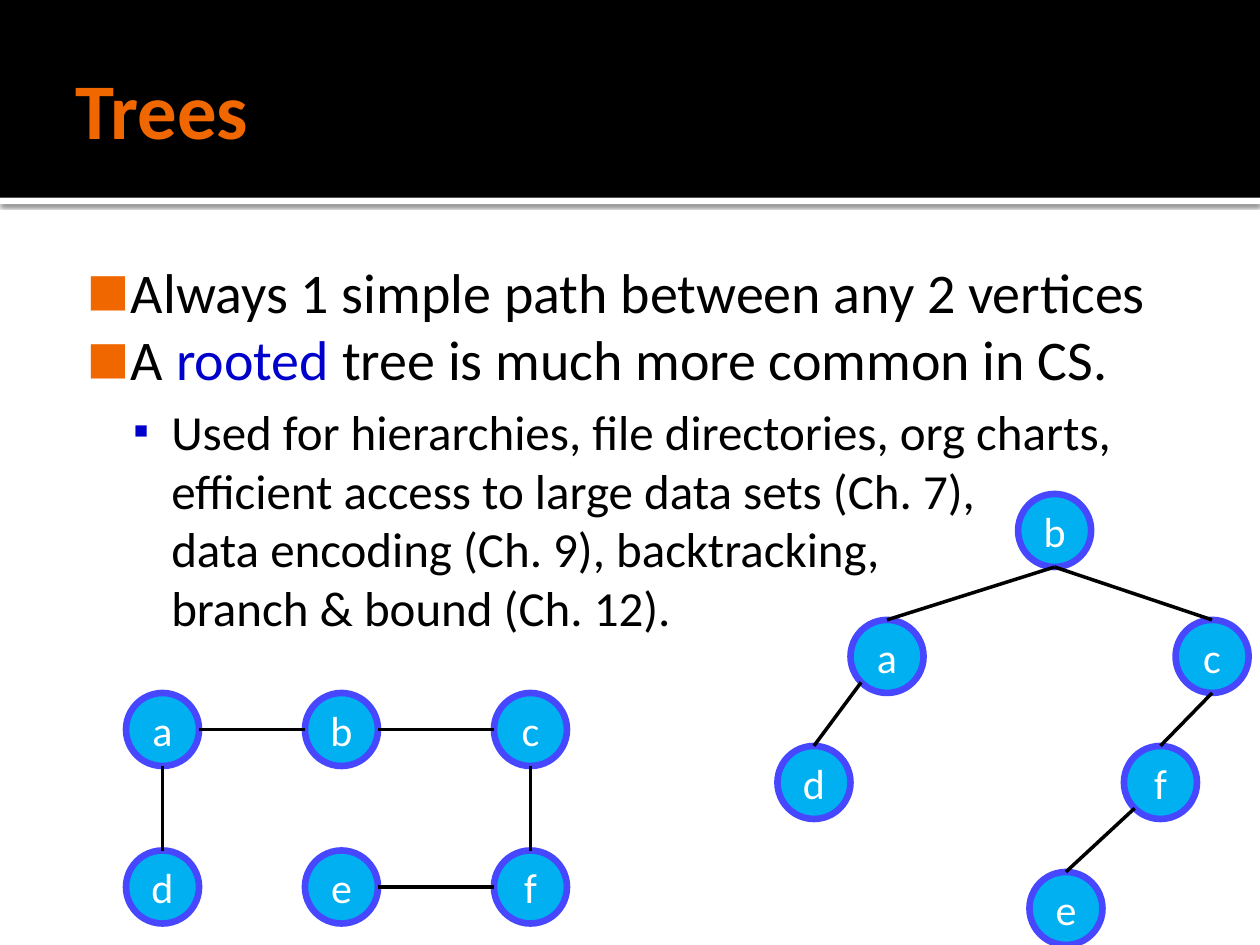
from math import cos, radians, sin

from lxml import etree
from pptx import Presentation
from pptx.dml.color import RGBColor
from pptx.enum.shapes import MSO_CONNECTOR, MSO_SHAPE
from pptx.enum.text import MSO_ANCHOR, PP_ALIGN
from pptx.oxml.ns import qn
from pptx.util import Inches, Pt

BLACK = RGBColor(0x00, 0x00, 0x00)
WHITE = RGBColor(0xFF, 0xFF, 0xFF)
ORANGE = RGBColor(0xF0, 0x67, 0x00)
BLUE = RGBColor(0x00, 0x00, 0xCC)
SKY = RGBColor(0x00, 0xB0, 0xF0)
RIM = RGBColor(0x47, 0x47, 0xFF)
SIZE = 0.58  # node diameter in inches
# Points on a node's rim, as angles in degrees, clockwise from the right
RIGHT, DOWN, DOWN_LEFT, LEFT, UP = 0, 90, 135, 180, 270


def put(par, text, size=24, color=BLACK, bold=False):
    """Add text to a paragraph, with a line break at each newline."""
    for i, line in enumerate(text.split("\n")):
        if i:
            par.add_line_break()
        run = par.add_run()
        run.text = line
        run.font.name = "Calibri"
        run.font.size = Pt(size)
        run.font.bold = bold
        run.font.color.rgb = color


def add(parent, tag, **attrs):
    return etree.SubElement(parent, qn(tag), attrs)


def bullet(par, char, color, scale, left, hang):
    props = par._p.get_or_add_pPr()
    props.set("marL", str(Inches(left)))
    props.set("indent", str(-Inches(hang)))
    add(add(props, "a:buClr"), "a:srgbClr", val=str(color))
    add(props, "a:buSzPct", val=str(scale * 1000))
    add(props, "a:buFont", typeface="Calibri")
    add(props, "a:buChar", char=char)


def inset(frame, left, top, right, bottom):
    frame.margin_left, frame.margin_top = Inches(left), Inches(top)
    frame.margin_right, frame.margin_bottom = Inches(right), Inches(bottom)
    frame.word_wrap = True


def bar(slide, color, left, top, width, height):
    shape = slide.shapes.add_shape(
        MSO_SHAPE.RECTANGLE, Inches(left), Inches(top), Inches(width), Inches(height))
    shape.shadow.inherit = False
    shape.fill.solid()
    shape.fill.fore_color.rgb = color
    shape.line.fill.background()
    return shape


def header(slide, left, top, width, height):
    # Black band over a white strip with a soft shadow
    strip = bar(slide, WHITE, left, top + height, width, 0.05)
    effects = strip._element.spPr.find(qn("a:effectLst"))
    shade = add(effects, "a:outerShdw", blurRad=str(Pt(2.5)), dist=str(Pt(0.8)),
                dir="5400000", algn="tl", rotWithShape="0")
    add(add(shade, "a:srgbClr", val=str(BLACK)), "a:alpha", val="60000")
    band = bar(slide, BLACK, left, top, width, height)

    # Both go behind the title
    tree = slide.shapes._spTree
    for spot, shape in enumerate((strip, band), 2):
        tree.insert(spot, shape._element)

    title = slide.shapes.title
    title.left, title.top = Inches(left + 0.5), Inches(top + 0.17)
    title.width, title.height = Inches(width - 1), Inches(height - 0.2)
    frame = title.text_frame
    inset(frame, 0.1, 0.05, 0.05, 0.05)
    frame.vertical_anchor = MSO_ANCHOR.MIDDLE
    par = frame.paragraphs[0]
    par.alignment = PP_ALIGN.LEFT
    put(par, "Trees", size=45, color=ORANGE, bold=True)


def body(slide, left, top, width, height):
    box = slide.shapes.add_textbox(
        Inches(left), Inches(top), Inches(width), Inches(height))
    frame = box.text_frame
    inset(frame, 0.06, 0.1, 0.1, 0.05)

    # Main points
    first, second = frame.paragraphs[0], frame.add_paragraph()
    for par in (first, second):
        bullet(par, "■", ORANGE, 80, 0.48, 0.35)
    put(first, "Always 1 simple path between any 2 vertices", size=32)
    put(second, "A ", size=32)
    put(second, "rooted", size=32, color=BLUE)
    put(second, " tree is much more common in CS.", size=32)

    # Sub-point
    sub = frame.add_paragraph()
    sub.level = 1
    bullet(sub, "▪", BLUE, 90, 0.8, 0.3)
    sub.space_before = Pt(5.6)
    put(sub, "Used for hierarchies, file directories, org charts, "
             "efficient access to large data sets (Ch. 7), \n"
             "data encoding (Ch. 9), backtracking, \n"
             "branch & bound (Ch. 12).", size=28)


def node(slide, name, left, top):
    shape = slide.shapes.add_shape(
        MSO_SHAPE.OVAL, Inches(left), Inches(top), Inches(SIZE), Inches(SIZE))
    shape.shadow.inherit = False
    shape.fill.solid()
    shape.fill.fore_color.rgb = SKY
    shape.line.color.rgb = RIM
    shape.line.width = Pt(3.78)
    frame = shape.text_frame
    frame.vertical_anchor = MSO_ANCHOR.MIDDLE
    par = frame.paragraphs[0]
    par.alignment = PP_ALIGN.CENTER
    put(par, name, color=WHITE)


def rim(spot, angle):
    """Point on the rim of a node whose corner is at spot."""
    half, turn = SIZE / 2, radians(angle)
    return (Inches(spot[0] + half + half * cos(turn)),
            Inches(spot[1] + half + half * sin(turn)))


def graph(slide, left, top, spots, edges):
    """Draw nodes at offsets from a corner, then the edges between them."""
    nodes = {name: (left + x, top + y) for name, (x, y) in spots.items()}
    for name, spot in nodes.items():
        node(slide, name, *spot)
    for tail, out, head, into in edges:
        line = slide.shapes.add_connector(
            MSO_CONNECTOR.STRAIGHT, *rim(nodes[tail], out), *rim(nodes[head], into))
        line.line.color.rgb = BLACK
        line.line.width = Pt(2)
        add(line._element.spPr, "a:effectLst")


def main():
    prs = Presentation()
    prs.slide_width, prs.slide_height = Inches(10), Inches(7.5)
    slide = prs.slides.add_slide(prs.slide_layouts[5])
    header(slide, 0, 0, 10, 1.57)
    body(slide, 0.5, 1.94, 9, 5.06)

    # Unrooted tree on a grid of three columns and two rows
    cols, rows = (0, 1.42, 2.92), (0, 1.25)
    grid = dict(zip("abcdef", [(x, y) for y in rows for x in cols]))
    graph(slide, 1, 5.5, grid, [
        ("a", RIGHT, "b", LEFT), ("b", RIGHT, "c", LEFT), ("a", DOWN, "d", UP),
        ("c", DOWN, "f", UP), ("e", RIGHT, "f", LEFT)])

    # The same tree rooted at b, one inch per level
    levels = {"a": (0.58, 1), "b": (1.91, 0), "c": (3.16, 1),
              "d": (0, 2), "e": (2, 3), "f": (2.75, 2)}
    graph(slide, 6.17, 3.92, levels, [
        ("b", DOWN, "a", UP), ("b", DOWN, "c", UP), ("a", DOWN_LEFT, "d", UP),
        ("c", DOWN, "f", UP), ("f", DOWN_LEFT, "e", UP)])

    prs.save("out.pptx")


if __name__ == "__main__":
    main()
